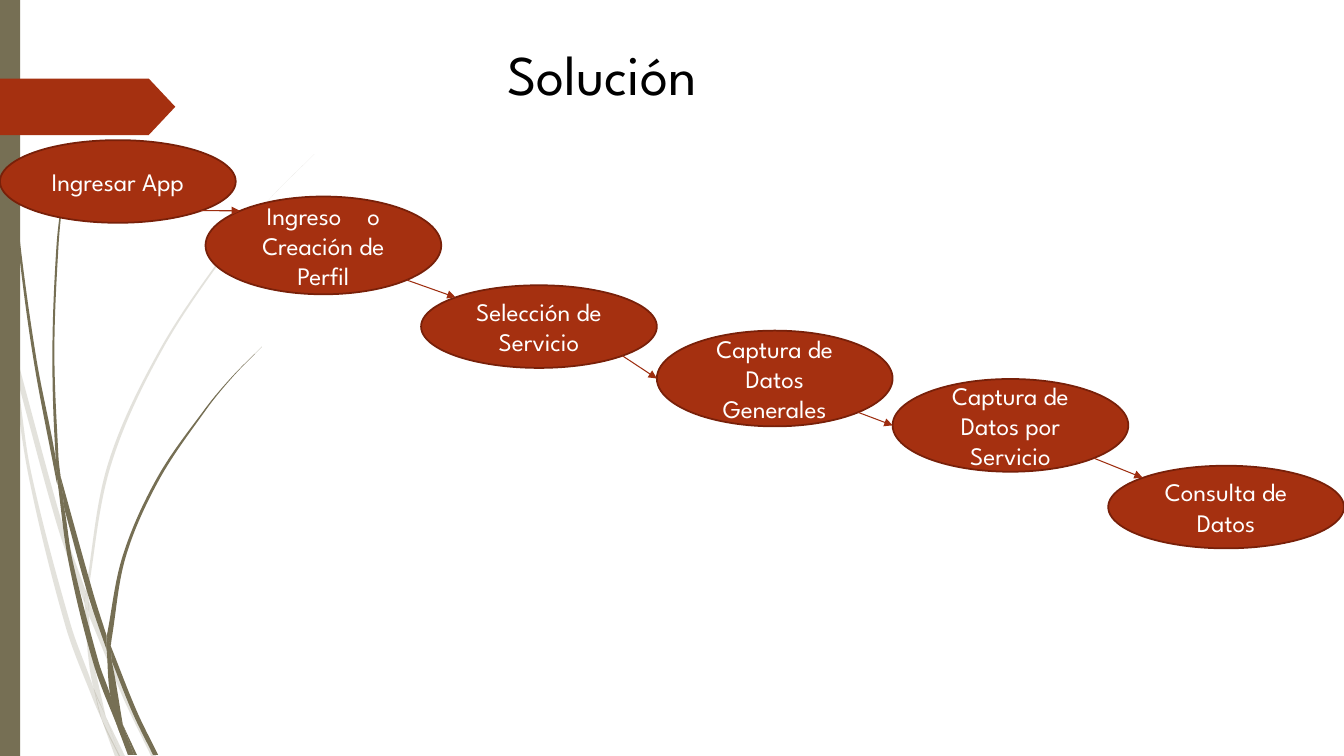
from itertools import pairwise
from math import hypot

from lxml.etree import SubElement
from pptx import Presentation
from pptx.dml.color import RGBColor
from pptx.enum.shapes import MSO_CONNECTOR as CONNECTOR, MSO_SHAPE as SHAPE
from pptx.enum.text import MSO_ANCHOR as ANCHOR, PP_ALIGN as ALIGN
from pptx.oxml.ns import qn
from pptx.util import Pt

PX = 9144  # 100 px to the inch
FONT = "League Spartan"
OLIVE, RUST, RUST_DARK, RUST_LINE = "766F54", "A53010", "782009", "9D2D0F"
TITLE_ONLY = 5

# Grass blade pieces: the two edges of each, from the tip down
PALE_BLADES = [
    ([(0, 282), (8, 322), (11, 350)], [(0, 299), (10, 344), (11, 350)]),
    ([(14, 345), (62, 520), (85, 586)], [(17, 376), (57, 522), (84, 599)]),
    ([(88, 596), (127, 692), (155, 750)], [(88, 610), (123, 694), (150, 750)]),
    ([(105, 711), (124, 750)], [(105, 711), (119, 750)]),
    ([(11, 350), (17, 376), (31, 469), (70, 619), (93, 683), (101, 714)],
     [(11, 350), (28, 470), (65, 621), (92, 693), (101, 714)]),
    ([(84, 599), (88, 610), (91, 646), (105, 711)],
     [(84, 599), (87, 646), (93, 683), (105, 711)]),
    ([(312, 153), (268, 197), (229, 245), (160, 349), (110, 462), (88, 584), (88, 596)],
     [(312, 153), (268, 197), (228, 244), (158, 348), (107, 461), (85, 586)]),
    ([(101, 714), (119, 750)], [(101, 714), (114, 750)]),
    ([(85, 586), (88, 596), (88, 610)], [(85, 586), (84, 599), (88, 608)]),
    ([(93, 683), (105, 711), (119, 750)], [(93, 683), (101, 714), (118, 750)]),
]
OLIVE_BLADES = [
    ([(3, 0), (8, 109), (19, 232), (36, 355), (55, 453), (57, 481)],
     [(3, 0), (7, 110), (17, 233), (33, 355), (56, 477)]),
    ([(60, 472), (93, 590), (106, 631)], [(64, 505), (88, 592), (106, 645)]),
    ([(110, 641), (136, 706), (157, 749)], [(111, 656), (132, 708), (152, 749)]),
    ([(57, 477), (64, 505), (72, 556), (98, 657), (110, 691), (117, 722)],
     [(57, 477), (68, 557), (93, 659), (117, 722)]),
    ([(70, 141), (63, 193), (58, 245), (54, 349), (58, 453), (60, 472)],
     [(70, 141), (62, 193), (56, 245), (52, 349), (55, 449), (60, 472)]),
    ([(122, 719), (136, 749)], [(122, 719), (133, 749)]),
    ([(55, 449), (60, 472), (64, 505)], [(55, 449), (57, 477), (64, 505)]),
    ([(260, 344), (231, 374), (205, 406), (158, 476), (125, 552), (111, 633), (110, 641)],
     [(260, 344), (231, 373), (204, 405), (156, 474), (122, 551), (106, 631)]),
    ([(117, 722), (131, 749)], [(117, 722), (127, 749)]),
    ([(106, 645), (111, 656), (122, 719)], [(106, 645), (110, 692), (122, 719)]),
    ([(106, 631), (110, 641), (111, 656)], [(106, 631), (106, 645), (111, 656)]),
    ([(110, 691), (122, 719), (133, 749)], [(110, 691), (117, 722), (130, 749)]),
]

# Steps of the flow: text, left, top, height
STEP_WIDTH = 234
STEPS = [
    ("Ingresar App", 0, 139, 82),
    ("Ingreso \to Creación de Perfil", 204, 195, 97),
    ("Selección de Servicio", 418, 283, 82),
    ("Captura de Datos Generales", 652, 328, 95),
    ("Captura de Datos por Servicio", 886, 376, 92),
    ("Consulta de Datos", 1100, 462, 82),
]
DIAGONAL = 0.854  # where an ellipse meets its 45 degree direction
UPPER_LEFT, LEFT = (1 - DIAGONAL, 1 - DIAGONAL), (0, 0.5)
ARROW_TARGETS = [UPPER_LEFT, UPPER_LEFT, LEFT, LEFT, UPPER_LEFT]


def px(*lengths):
    return [round(length * PX) for length in lengths]


def color(hex_value):
    return RGBColor.from_string(hex_value)


def paint(shape, fill, line=None):
    shape.shadow.inherit = False
    shape.fill.solid()
    shape.fill.fore_color.rgb = color(fill)
    if line:
        shape.line.color.rgb = color(line)
        shape.line.width = Pt(1.25)
    else:
        shape.line.fill.background()


def format_text(paragraph, size, hex_value):
    paragraph.alignment = ALIGN.CENTER
    for run in paragraph.runs:
        run.font.name = FONT
        run.font.size = Pt(size)
        run.font.color.rgb = color(hex_value)


def curve_segments(edge):
    """Two handles and the end of each Bezier segment along an edge."""
    padded = [edge[0], *edge, edge[-1]]
    tangents = []
    for (x0, y0), (x1, y1) in zip(padded, padded[2:]):
        length = hypot(x1 - x0, y1 - y0)
        tangents.append(((x1 - x0) / length, (y1 - y0) / length))
    segments = []
    for (start, (ux, uy)), (end, (vx, vy)) in pairwise(zip(edge, tangents)):
        reach = hypot(end[0] - start[0], end[1] - start[1]) / 3
        segments.append([(start[0] + ux * reach, start[1] + uy * reach),
                         (end[0] - vx * reach, end[1] - vy * reach), end])
    return segments


def add_blade(slide, right, left, opacity):
    left = left[::-1]
    outline = [px(*point) for point in right + left]
    builder = slide.shapes.build_freeform(*outline[0])
    builder.add_line_segments(outline[1:], close=True)
    blade = builder.convert_to_shape()
    paint(blade, OLIVE)
    # Bend every side except the one that joins the two edges
    sides = list(blade._element.spPr.iter(qn("a:lnTo")))
    bent = sides[:len(right) - 1] + sides[len(right):]
    for side, points in zip(bent, curve_segments(right) + curve_segments(left)):
        curve = side.makeelement(qn("a:cubicBezTo"))
        for x, y in (px(*point) for point in points):
            SubElement(curve, qn("a:pt"), x=str(x - blade.left), y=str(y - blade.top))
        side.getparent().replace(side, curve)
    if opacity < 100:
        fill_color = blade.fill._xPr.find(qn("a:solidFill"))[0]
        SubElement(fill_color, qn("a:alpha"), val=str(opacity * 1000))


def add_decoration(slide, height):
    for blades, opacity in ((PALE_BLADES, 20), (OLIVE_BLADES, 100)):
        for right, left in blades:
            add_blade(slide, right, left, opacity)
    side_bar = slide.shapes.add_shape(SHAPE.RECTANGLE, *px(0, 0, 20, height))
    paint(side_bar, OLIVE)
    tag = slide.shapes.add_shape(SHAPE.PENTAGON, *px(0, 78, 174, 56))
    tag.adjustments[0] = 0.47
    paint(tag, RUST)


def add_title(slide, left, top, width, height):
    title = slide.shapes.title
    title.left, title.top, title.width, title.height = px(left, top, width, height)
    title.text_frame.text = "Solución"
    title.text_frame.vertical_anchor = ANCHOR.TOP
    format_text(title.text_frame.paragraphs[0], 40, "000000")


def add_step(slide, text, left, top, height):
    step = slide.shapes.add_shape(SHAPE.OVAL, *px(left, top, STEP_WIDTH, height))
    paint(step, RUST, RUST_DARK)
    frame = step.text_frame
    frame.word_wrap = True
    frame.vertical_anchor = ANCHOR.MIDDLE
    paragraph = frame.paragraphs[0]
    paragraph.text = text
    tabs = SubElement(paragraph._p.get_or_add_pPr(), qn("a:tabLst"))
    for position in px(*range(0, 400, 50)):
        SubElement(tabs, qn("a:tab"), pos=str(position), algn="l")
    format_text(paragraph, 18, "FFFFFF")
    return step


def point_on(step, across, down):
    return round(step.left + step.width * across), round(step.top + step.height * down)


def add_arrow(slide, source, target, target_point):
    arrow = slide.shapes.add_connector(
        CONNECTOR.STRAIGHT, *point_on(source, DIAGONAL, DIAGONAL),
        *point_on(target, *target_point))
    arrow.line.color.rgb = color(RUST_LINE)
    arrow.line.width = Pt(0.75)
    SubElement(arrow.line._get_or_add_ln(), qn("a:tailEnd"), type="triangle")
    SubElement(arrow._element.spPr, qn("a:effectLst"))


def add_flow(slide):
    steps = [add_step(slide, *step) for step in STEPS]
    for (source, target), target_point in zip(pairwise(steps), ARROW_TARGETS):
        add_arrow(slide, source, target, target_point)


def main():
    presentation = Presentation()
    presentation.slide_width, presentation.slide_height = px(1334, 750)
    slide = presentation.slides.add_slide(presentation.slide_layouts[TITLE_ONLY])
    add_decoration(slide, 750)
    add_title(slide, 329, 34, 537, 77)
    add_flow(slide)
    presentation.save("out.pptx")


if __name__ == "__main__":
    main()
